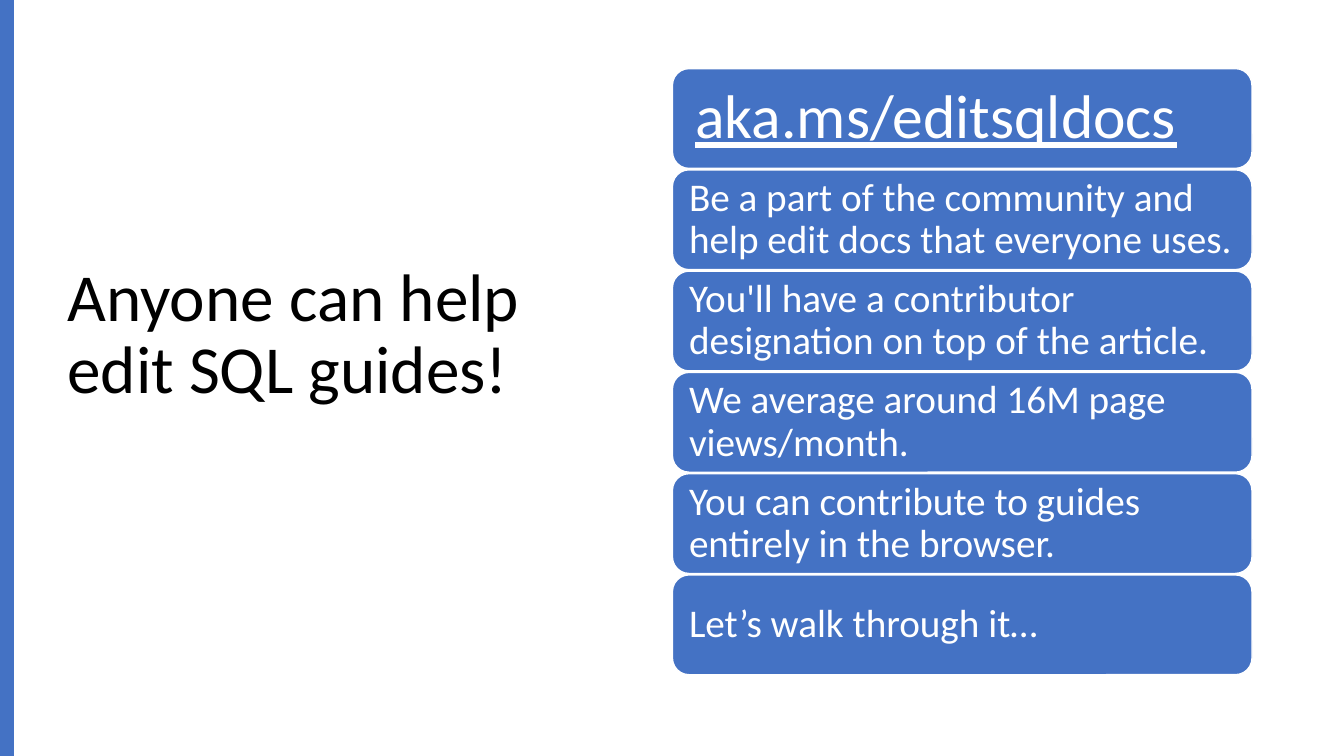
from pptx import Presentation
from pptx.dml.color import RGBColor
from pptx.enum.shapes import MSO_SHAPE
from pptx.enum.text import MSO_ANCHOR, PP_ALIGN
from pptx.util import Pt

BLUE = "4472C4"
WHITE = "FFFFFF"
BLACK = "000000"
FONT = "Calibri"
ROW_GAP = 1

LINK = "aka.ms/editsqldocs"
REASONS = [
    "Be a part of the community and help edit docs that everyone uses.",
    "You'll have a contributor designation on top of the article.",
    "We average around 16M page views/month.",
    "You can contribute to guides entirely in the browser.",
    "Let’s walk through it…",
]


def color(hex_string):
    return RGBColor.from_string(hex_string)


def place(shape, left, top, width, height):
    shape.left, shape.top = Pt(left), Pt(top)
    shape.width, shape.height = Pt(width), Pt(height)


def write_text(shape, text, size, hex_color, side_inset, bottom_inset=0):
    """Set one left-aligned, vertically centred paragraph in the shape."""
    frame = shape.text_frame
    frame.text = text
    frame.word_wrap = True
    frame.vertical_anchor = MSO_ANCHOR.MIDDLE
    frame.margin_left = frame.margin_right = Pt(side_inset)
    frame.margin_top, frame.margin_bottom = Pt(0), Pt(bottom_inset)
    paragraph = frame.paragraphs[0]
    paragraph.alignment = PP_ALIGN.LEFT
    paragraph.line_spacing = 0.9
    font = paragraph.runs[0].font
    font.name, font.size = FONT, Pt(size)
    font.color.rgb = color(hex_color)
    return font


def add_block(slide, kind, left, top, width, height):
    shape = slide.shapes.add_shape(kind, Pt(left), Pt(top), Pt(width), Pt(height))
    shape.shadow.inherit = False
    shape.fill.solid()
    shape.fill.fore_color.rgb = color(BLUE)
    shape.line.fill.background()
    return shape


def add_title(slide, left, top, width, height):
    title = slide.shapes.title
    place(title, left, top, width, height)
    write_text(title, "Anyone can help edit SQL guides!", 48, BLACK, 7.2, bottom_inset=52)


def add_reason_list(slide, left, top, width, height):
    """Stack the link and the reasons as equal rows that fill the box."""
    rows = [LINK, *REASONS]
    pitch = (height + ROW_GAP) / len(rows)
    for index, text in enumerate(rows):
        row = add_block(slide, MSO_SHAPE.ROUNDED_RECTANGLE,
                        left, top + index * pitch, width, pitch - ROW_GAP)
        row.line.color.rgb = color(WHITE)
        row.line.width = Pt(1)
        is_link = text == LINK
        font = write_text(row, text, 44 if is_link else 28, WHITE, 13 if is_link else 8.4)
        font.underline = is_link


def main():
    presentation = Presentation()
    presentation.slide_width, presentation.slide_height = Pt(960), Pt(540)
    slide = presentation.slides.add_slide(presentation.slide_layouts[5])
    add_title(slide, 41, 49, 408, 433.4)
    add_block(slide, MSO_SHAPE.RECTANGLE, 0, 0, 10, 540)
    add_reason_list(slide, 480.3, 49, 414, 433)
    presentation.save("out.pptx")


if __name__ == "__main__":
    main()
